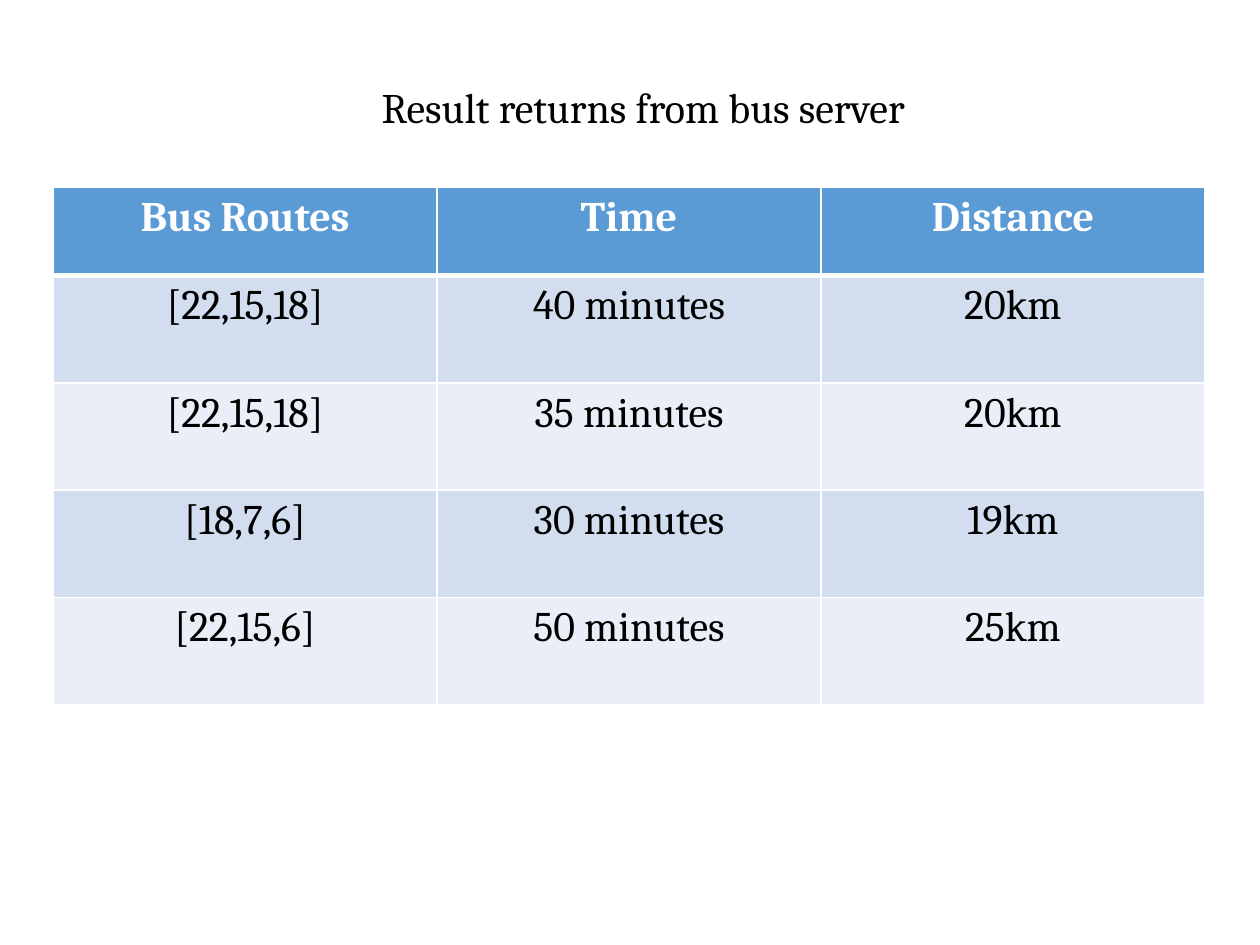
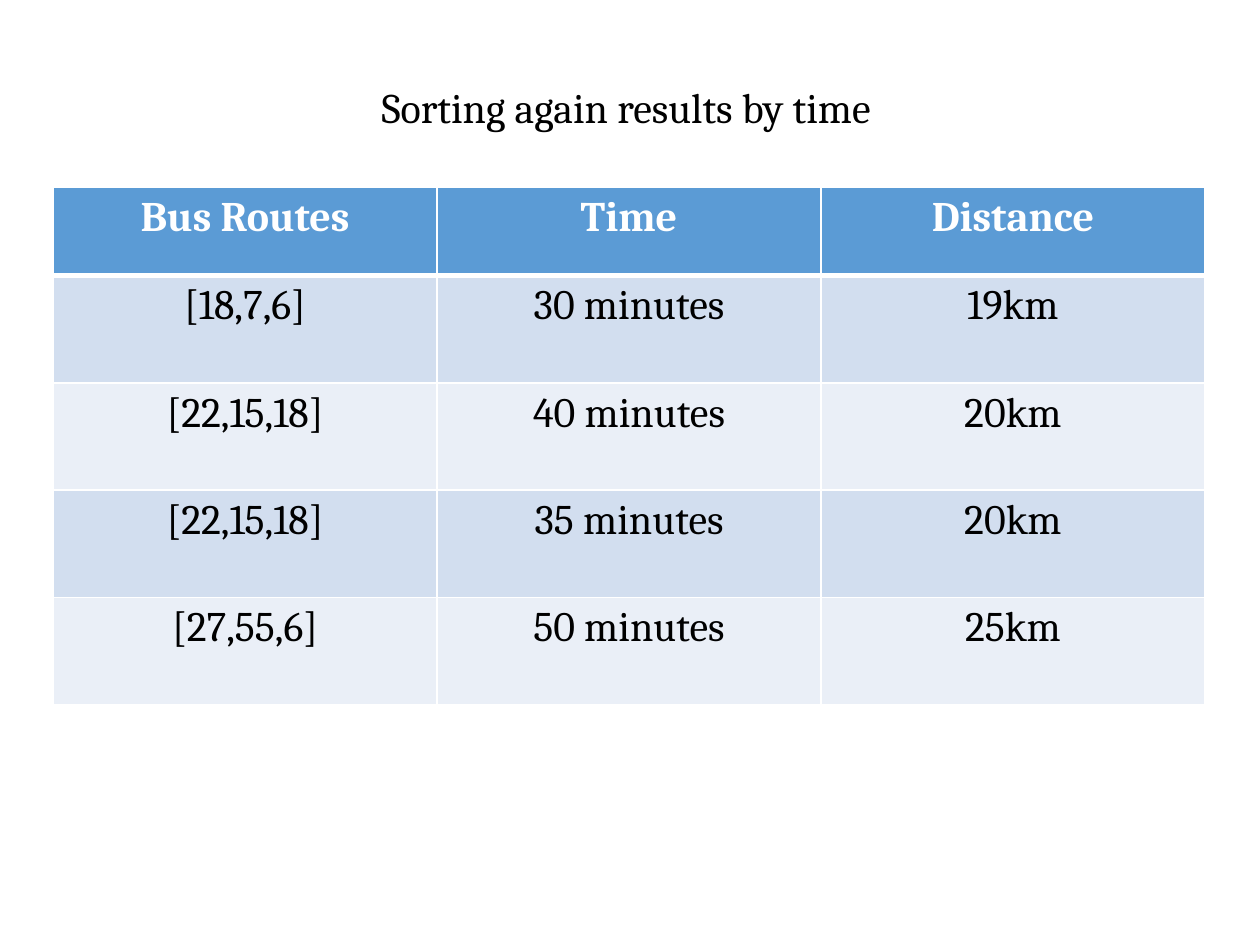
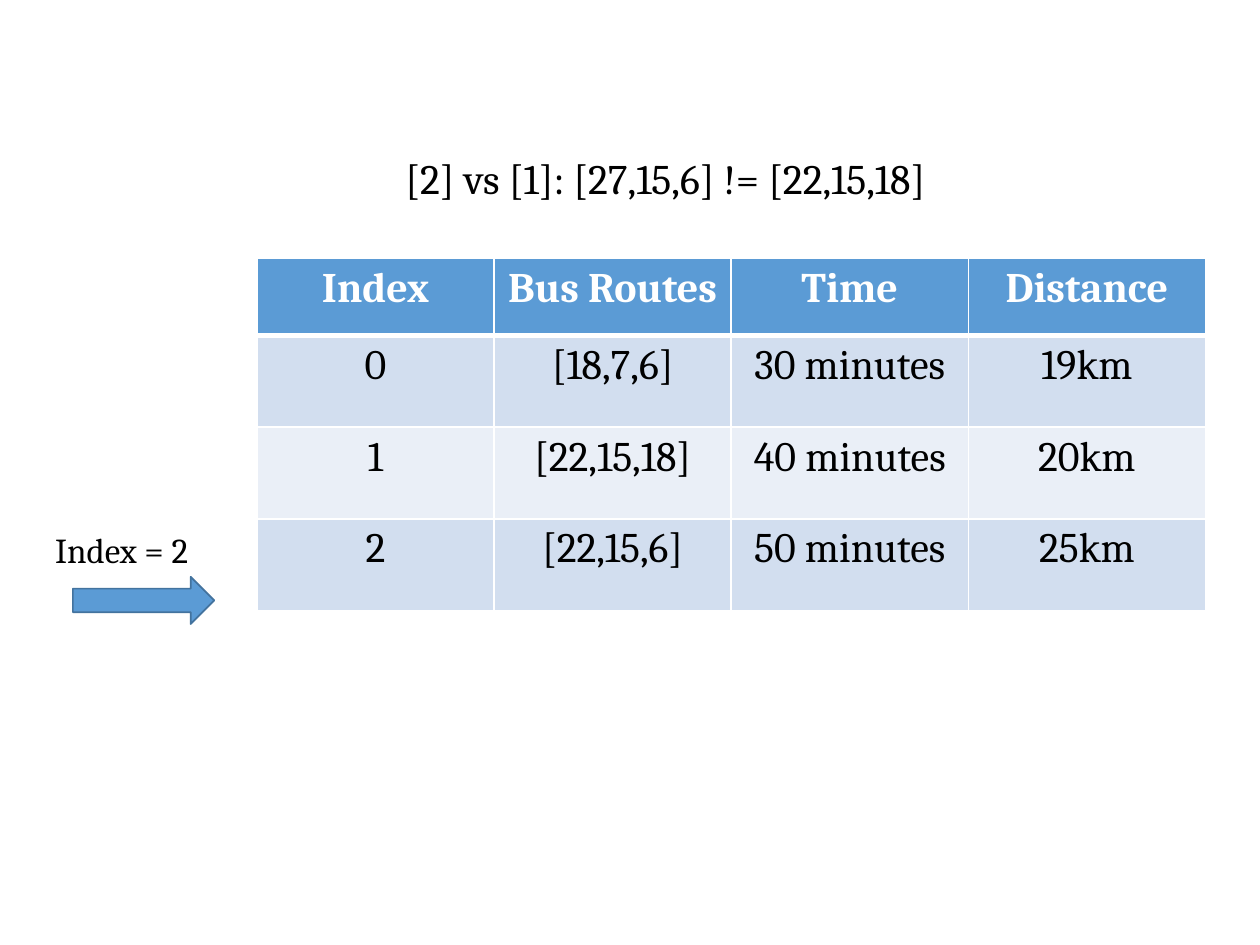
"""Build three slides that show bus routes sorted and compared."""
import dataclasses

import pptx
import pptx.dml.color
import pptx.enum.shapes
import pptx.enum.text
import pptx.oxml
import pptx.oxml.ns
import pptx.util

Cm = pptx.util.Cm
Pt = pptx.util.Pt
RGB = pptx.dml.color.RGBColor.from_string
ALIGN = pptx.enum.text.PP_ALIGN


@dataclasses.dataclass(frozen=True)
class Theme:
    font: str = "Cambria"
    size: int = 24
    small: int = 20
    ink: str = "000000"
    white: str = "FFFFFF"
    blue: str = "5B9BD5"
    edge: str = "43739E"
    bands: tuple = ("D2DEEF", "EAEFF7")


theme = Theme()


def write(frame, text, size=theme.size, color=theme.ink, bold=False, align=ALIGN.LEFT):
    """Put one styled line of text in a frame."""
    frame.text = text
    line = frame.paragraphs[0]
    line.alignment = align
    line.font.name = theme.font
    line.font.size = Pt(size)
    line.font.bold = bold
    line.font.color.rgb = RGB(color)


def fit(frame):
    """Let a frame hold its text on one line from the top."""
    frame.word_wrap = False
    frame.auto_size = pptx.enum.text.MSO_AUTO_SIZE.SHAPE_TO_FIT_TEXT
    frame.vertical_anchor = pptx.enum.text.MSO_ANCHOR.TOP


heads = ["Bus Routes", "Time", "Distance"]
full = dict(left=1.07, top=3.78, col=7.74, head=1.78, row=2.16)
short = dict(left=5.18, top=5.21, col=4.78, head=1.55, row=1.85)
pages = [
    ("Result returns from bus server", (7.44, 1.52, 11.68), full, [
        heads,
        ["[22,15,18]", "40 minutes", "20km"],
        ["[22,15,18]", "35 minutes", "20km"],
        ["[18,7,6]", "30 minutes", "19km"],
        ["[22,15,6]", "50 minutes", "25km"],
    ]),
    ("Sorting again results by time", (7.44, 1.52, 10.92), full, [
        heads,
        ["[18,7,6]", "30 minutes", "19km"],
        ["[22,15,18]", "40 minutes", "20km"],
        ["[22,15,18]", "35 minutes", "20km"],
        ["[27,55,6]", "50 minutes", "25km"],
    ]),
    ("[2] vs [1]: [27,15,6] != [22,15,18]", (7.92, 2.95, 12.4), short, [
        ["Index"] + heads,
        ["0", "[18,7,6]", "30 minutes", "19km"],
        ["1", "[22,15,18]", "40 minutes", "20km"],
        ["2", "[22,15,6]", "50 minutes", "25km"],
    ]),
]

deck = pptx.Presentation()
deck.slide_width, deck.slide_height = Cm(25.4), Cm(19.05)

for text, (left, top, width), grid, rows in pages:
    slide = deck.slides.add_slide(deck.slide_layouts[5])
    title = slide.shapes.title
    title.left, title.top = Cm(left), Cm(top)
    title.width, title.height = Cm(width), Cm(1.27)
    write(title.text_frame, text)
    fit(title.text_frame)

    count = len(rows[0])
    tall = grid["head"] + grid["row"] * (len(rows) - 1)
    table = slide.shapes.add_table(
        len(rows), count, Cm(grid["left"]), Cm(grid["top"]),
        Cm(grid["col"] * count), Cm(tall)).table
    for col in table.columns:
        col.width = Cm(grid["col"])
    for r, row in enumerate(rows):
        is_head = r == 0
        table.rows[r].height = Cm(grid["head"] if is_head else grid["row"])
        thick = {"lnL": 1, "lnR": 1, "lnT": 3 if r == 1 else 1, "lnB": 3 if is_head else 1}
        for c, value in enumerate(row):
            cell = table.cell(r, c)
            write(cell.text_frame, value, color=theme.white if is_head else theme.ink,
                  bold=is_head, align=ALIGN.CENTER)
            props = cell._tc.get_or_add_tcPr()
            for side, points in thick.items():
                props.append(pptx.oxml.parse_xml(
                    f'<a:{side} {pptx.oxml.ns.nsdecls("a")} w="{Pt(points)}"><a:solidFill>'
                    f'<a:srgbClr val="{theme.white}"/></a:solidFill></a:{side}>'))
            cell.fill.solid()
            cell.fill.fore_color.rgb = RGB(theme.blue if is_head else theme.bands[(r - 1) % 2])

arrow = slide.shapes.add_shape(
    pptx.enum.shapes.MSO_SHAPE.RIGHT_ARROW, Cm(1.47), Cm(11.63), Cm(2.85), Cm(0.95))
arrow.shadow.inherit = False
arrow.fill.solid()
arrow.fill.fore_color.rgb = RGB(theme.blue)
arrow.line.color.rgb = RGB(theme.edge)
arrow.line.width = Pt(1)

label = slide.shapes.add_textbox(Cm(0.86), Cm(10.52), Cm(3.33), Cm(1.11))
write(label.text_frame, "Index = 2", size=theme.small)
fit(label.text_frame)

deck.save("out.pptx")
